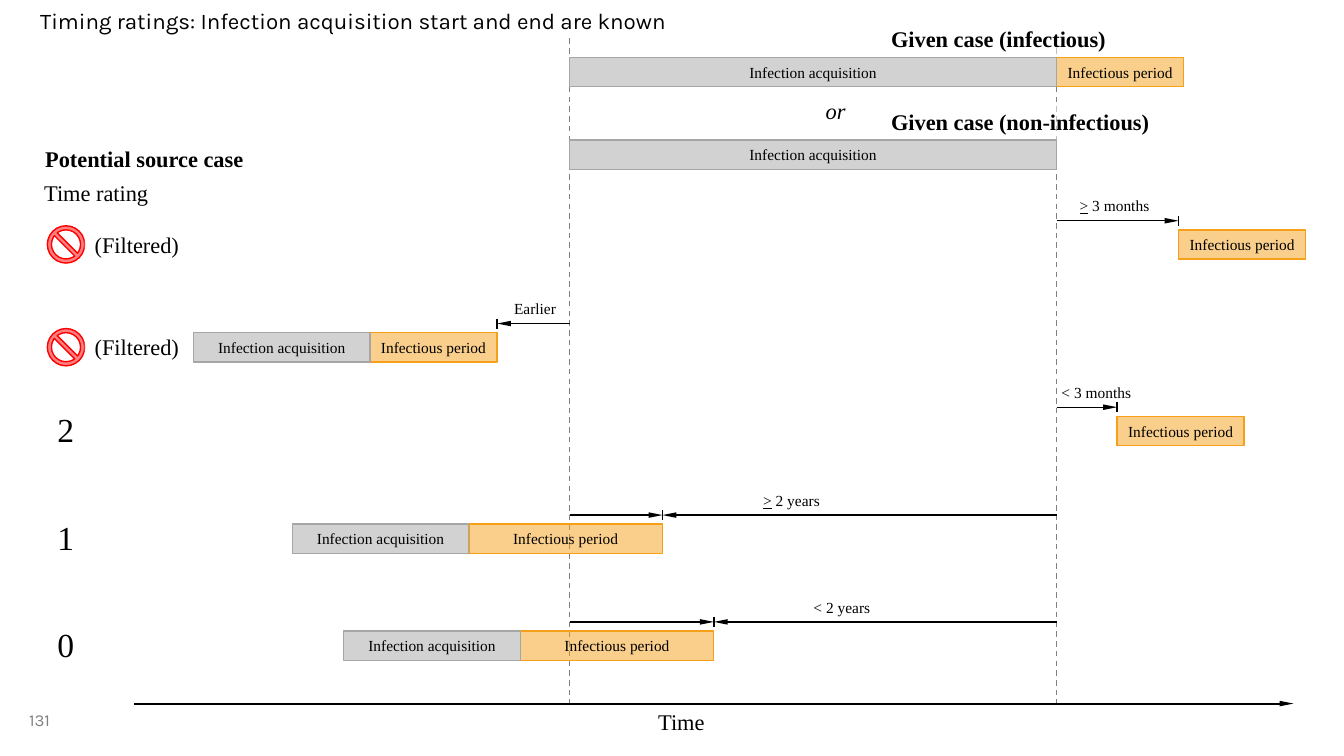
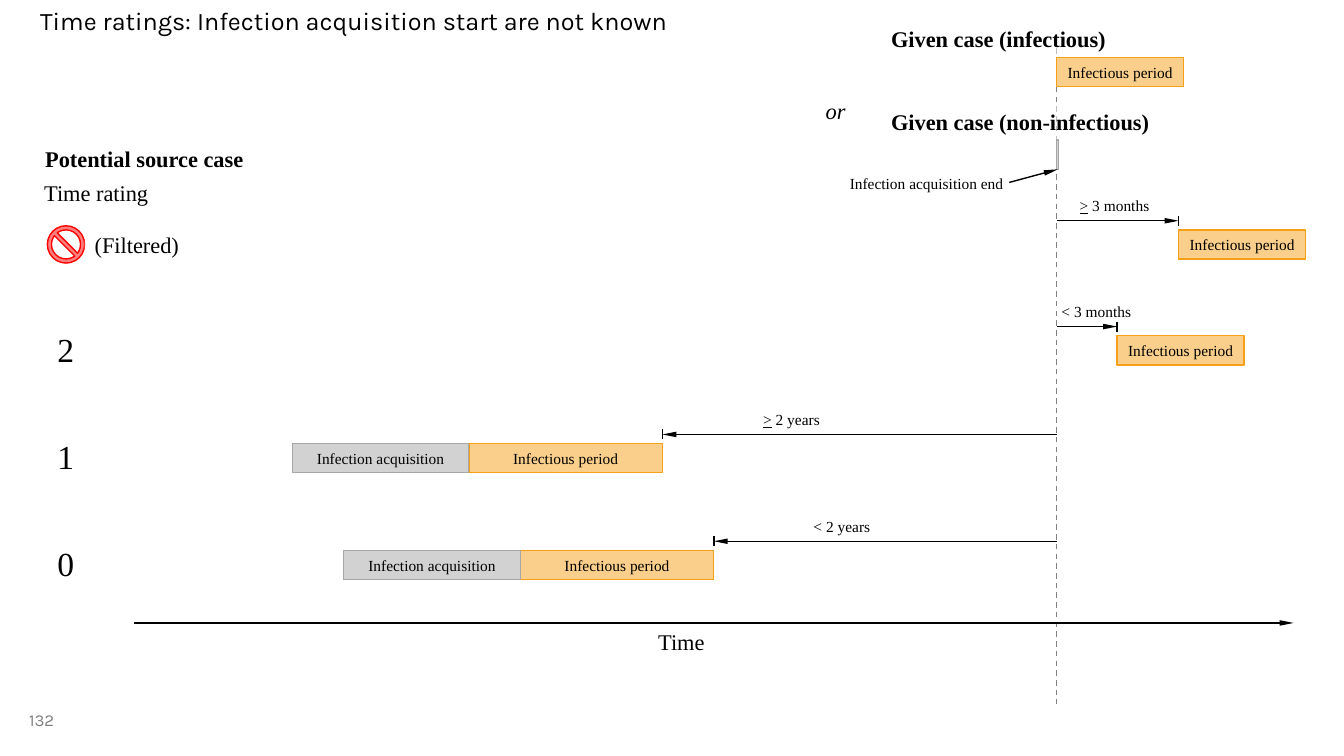
from dataclasses import dataclass
from typing import NamedTuple

from lxml.etree import SubElement
from pptx import Presentation
from pptx.dml.color import RGBColor
from pptx.enum.dml import MSO_LINE
from pptx.enum.shapes import MSO_CONNECTOR, MSO_SHAPE
from pptx.enum.text import MSO_ANCHOR, MSO_AUTO_SIZE, PP_ALIGN
from pptx.oxml.ns import qn
from pptx.shapes.autoshape import Shape
from pptx.shapes.connector import Connector
from pptx.slide import Slide
from pptx.util import Inches, Pt


@dataclass(frozen=True)
class Theme:
    ink: str = "000000"
    paper: str = "FFFFFF"
    grey: str = "808080"
    acquired: str = "A6A6A6"
    infectious: str = "F6A01A"
    banned: str = "FF0000"
    sans: str = "Karla"
    serif: str = "Times New Roman"
    small: int = 11
    page: int = 12
    body: int = 16
    rating: int = 24


class Box(NamedTuple):
    left: float
    top: float
    width: float
    height: float


class Label(NamedTuple):
    text: str
    box: Box
    bold: bool = False
    italic: bool = False
    filled: bool = True


class Row(NamedTuple):
    """One potential source case; y is the height of its arrows."""
    rating: str
    y: float
    note: str
    note_left: float
    note_width: float
    tick: float
    origins: tuple[float, ...]
    width: float
    acquired: bool = False
    underline: bool = False


class Page(NamedTuple):
    number: str
    title: str
    size: int
    rows: tuple[Row, ...]
    axis: float
    start_known: bool


THEME = Theme()
START, END = 5.65, 10.48
TOP, FOOT = 0.38, 6.98
BAR, LINE = 0.29, 0.37
CASES = (0.57, 1.39)
ACQUIRED, SHORT, LONG = 1.75, 1.26, 1.92
FILTERED = "(Filtered)"
SHIFT = 0.8

LABELS = (
    Label("Given case (infectious)", Box(8.74, 0.2, 2.37, LINE), bold=True),
    Label("Given case (non-infectious)", Box(8.74, 1.02, 2.8, LINE), bold=True),
    Label("or", Box(8.09, 0.91, 0.41, LINE), italic=True, filled=False),
    Label("Potential source case", Box(0.35, 1.39, 2.27, LINE), bold=True),
    Label("Time rating", Box(0.34, 1.73, 1.25, LINE)),
)

LATE = Row(FILTERED, 2.19, "> 3 months", 10.61, 0.9, 11.69, (END,), SHORT,
           underline=True)
EARLY = Row(FILTERED, 3.21, "Earlier", 5, 0.62, 4.93, (START,), SHORT, acquired=True)
SOON = Row("2", 4.04, "< 3 months", 10.43, 0.9, 11.08, (END,), SHORT)
OLD = Row("1", 5.11, "> 2 years", 7.47, 0.77, 6.57, (START, END), LONG,
          acquired=True, underline=True)
RECENT = Row("0", 6.17, "< 2 years", 7.97, 0.77, 7.08, (START, END), LONG,
             acquired=True)


def raised(row: Row) -> Row:
    """Move a row up and measure it from the acquisition end only."""
    return row._replace(y=row.y - SHIFT, origins=(END,))


PAGES = (
    Page("131", "Timing ratings: Infection acquisition start and end are known", 16,
         (LATE, EARLY, SOON, OLD, RECENT), FOOT, True),
    Page("132", "Time ratings: Infection acquisition start are not known", 18,
         (LATE, *map(raised, (SOON, OLD, RECENT))), FOOT - SHIFT, False),
)


def rgb(code: str) -> RGBColor:
    return RGBColor.from_string(code)


def tint(shape: Shape, color: str) -> None:
    """Fill the shape at half opacity."""
    shape.fill.solid()
    shape.fill.fore_color.rgb = rgb(color)
    paint = shape.element.spPr.find(qn("a:solidFill"))[0]
    SubElement(paint, qn("a:alpha")).set("val", "50000")


def block(slide: Slide, box: Box, color: str,
          kind: MSO_SHAPE = MSO_SHAPE.RECTANGLE) -> Shape:
    shape = slide.shapes.add_shape(kind, *map(Inches, box))
    shape.shadow.inherit = False
    tint(shape, color)
    shape.line.color.rgb = rgb(color)
    shape.line.width = Pt(1)
    return shape


def style(shape: Shape, size: int, font: str = THEME.serif, color: str = THEME.ink,
          bold: bool = False, italic: bool = False) -> None:
    for para in shape.text_frame.paragraphs:
        for run in para.runs:
            run.font.size = Pt(size)
            run.font.name = font
            run.font.color.rgb = rgb(color)
            run.font.bold = bold
            run.font.italic = italic


def write(slide: Slide, text: str, box: Box) -> Shape:
    """Add a text box that fits its unwrapped text."""
    shape = slide.shapes.add_textbox(*map(Inches, box))
    frame = shape.text_frame
    frame.text = text
    frame.word_wrap = False
    frame.auto_size = MSO_AUTO_SIZE.SHAPE_TO_FIT_TEXT
    return shape


def label(slide: Slide, item: Label, size: int = THEME.body) -> None:
    shape = write(slide, item.text, item.box)
    if item.filled:
        tint(shape, THEME.paper)
    style(shape, size, bold=item.bold, italic=item.italic)


def head(slide: Slide, text: str, box: Box, size: int, color: str) -> None:
    """Add page text in the sans font, centred on its height."""
    shape = slide.shapes.add_textbox(*map(Inches, box))
    frame = shape.text_frame
    frame.text = text
    frame.word_wrap = True
    frame.vertical_anchor = MSO_ANCHOR.MIDDLE
    frame.paragraphs[0].line_spacing = 0.9
    style(shape, size, THEME.sans, color)


def bar(slide: Slide, text: str, left: float, top: float, width: float,
        color: str) -> None:
    shape = block(slide, Box(left, top, width, BAR), color)
    shape.text_frame.text = text
    shape.text_frame.word_wrap = True
    shape.text_frame.paragraphs[0].alignment = PP_ALIGN.CENTER
    style(shape, THEME.small)


def acquired(slide: Slide, left: float, top: float, width: float) -> None:
    bar(slide, "Infection acquisition", left, top, width, THEME.acquired)


def infectious(slide: Slide, left: float, top: float, width: float) -> None:
    bar(slide, "Infectious period", left, top, width, THEME.infectious)


def line(slide: Slide, x1: float, y1: float, x2: float, y2: float,
         color: str = THEME.ink, weight: float = 1) -> Connector:
    stroke = slide.shapes.add_connector(
        MSO_CONNECTOR.STRAIGHT, *map(Inches, (x1, y1, x2, y2)))
    stroke.line.color.rgb = rgb(color)
    stroke.line.width = Pt(weight)
    SubElement(stroke.element.spPr, qn("a:effectLst"))
    return stroke


def arrow(slide: Slide, x1: float, y1: float, x2: float, y2: float,
          weight: float = 1) -> Connector:
    stroke = line(slide, x1, y1, x2, y2, weight=weight)
    tip = SubElement(stroke.element.spPr.find(qn("a:ln")), qn("a:tailEnd"))
    for key, value in (("type", "triangle"), ("w", "sm"), ("len", "lg")):
        tip.set(key, value)
    return stroke


def guide(slide: Slide, x: float) -> None:
    """Draw a dashed vertical line through all rows."""
    line(slide, x, TOP, x, FOOT, THEME.grey).line.dash_style = MSO_LINE.DASH


def rate(slide: Slide, row: Row) -> None:
    if row.rating == FILTERED:
        top = row.y + 0.05
        sign = block(slide, Box(0.47, top, LINE, LINE), THEME.banned,
                     MSO_SHAPE.NO_SYMBOL)
        sign.adjustments[0] = 0.11
        label(slide, Label(FILTERED, Box(0.84, top, 1.05, LINE)))
    else:
        box = Box(0.47, row.y - 0.03, 0.37, 0.5)
        label(slide, Label(row.rating, box), THEME.rating)


def note(slide: Slide, row: Row) -> None:
    box = Box(row.note_left, row.y - BAR, row.note_width, BAR)
    sign, rest = row.note[:1], row.note[1:]
    shape = write(slide, sign, box)
    para = shape.text_frame.paragraphs[0]
    para.runs[0].font.underline = row.underline
    para.add_run().text = rest
    style(shape, THEME.small)


def case(slide: Slide, row: Row) -> None:
    """Draw a source case: rating, note, arrows to the tick, and bars."""
    rate(slide, row)
    note(slide, row)
    top = row.y + 0.09
    left = row.tick - row.width if row.acquired else row.tick
    infectious(slide, left, top, row.width)
    if row.acquired:
        acquired(slide, left - ACQUIRED, top, ACQUIRED)
    for origin in row.origins:
        arrow(slide, origin, row.y, row.tick, row.y)
    line(slide, row.tick, row.y - 0.05, row.tick, row.y + 0.05)


def marker(slide: Slide) -> None:
    """Point out the acquisition end of the non-infectious case."""
    mark = block(slide, Box(END, CASES[1], 0.02, BAR), THEME.acquired)
    bottom = CASES[1] + BAR
    text = write(slide, "Infection acquisition end", Box(8.33, bottom, 1.73, BAR))
    style(text, THEME.small)
    arrow(slide, 10.01, 1.81, END, bottom).end_connect(mark, 2)


def build(slide: Slide, page: Page) -> None:
    head(slide, page.number, Box(0.19, 6.95, 3, 0.4), THEME.page, THEME.grey)
    head(slide, page.title, Box(0.3, -0.5, 11.5, 1.45), page.size, THEME.ink)
    for x in (START, END) if page.start_known else (END,):
        guide(slide, x)
    for item in LABELS:
        label(slide, item)
    infectious(slide, END, CASES[0], SHORT)
    if page.start_known:
        for top in CASES:
            acquired(slide, START, top, END - START)
    else:
        marker(slide)
    for row in page.rows:
        case(slide, row)
    arrow(slide, 1.33, page.axis, 12.83, page.axis, 1.5)
    label(slide, Label("Time", Box(6.43, page.axis, 0.67, LINE), filled=False))


def main() -> None:
    deck = Presentation()
    deck.slide_width, deck.slide_height = Inches(13.33), Inches(7.5)
    for page in PAGES:
        build(deck.slides.add_slide(deck.slide_layouts[6]), page)
    deck.save("out.pptx")


if __name__ == "__main__":
    main()
